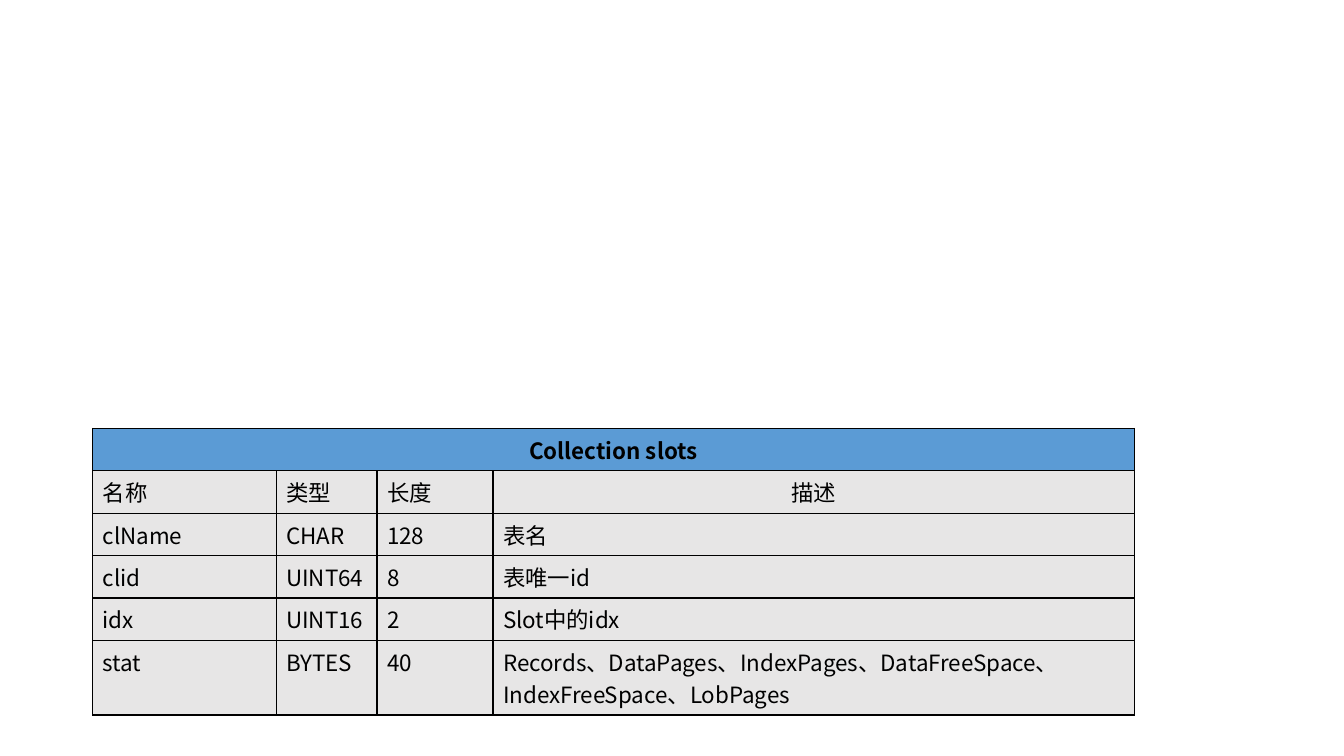
from lxml import etree
from pptx import Presentation
from pptx.dml.color import RGBColor
from pptx.enum.text import PP_ALIGN
from pptx.oxml.ns import qn
from pptx.util import Inches, Pt

LEFT, CENTER = PP_ALIGN.LEFT, PP_ALIGN.CENTER
FONT = "Noto Sans CJK SC"
COLORS = {"head": "5B9BD5", "body": "E7E6E6", "ink": "000000"}
TITLE = "Collection slots"
FIELDS = [
    ("名称", "类型", "长度", "描述"),
    ("clName", "CHAR", "128", "表名"),
    ("clid", "UINT64", "8", "表唯一id"),
    ("idx", "UINT16", "2", "Slot中的idx"),
    ("stat", "BYTES", "40",
     "Records、DataPages、IndexPages、DataFreeSpace、IndexFreeSpace、LobPages"),
]
COLS = [1.82, 1, 1.15, 6.36]
ROWS = [0.42] * 5 + [0.74]


def add_edges(cell):
    props = cell._tc.get_or_add_tcPr()
    for spot, side in enumerate(("lnL", "lnR", "lnT", "lnB")):
        line = etree.Element(qn("a:" + side), w=str(Pt(1)))
        fill = etree.SubElement(line, qn("a:solidFill"))
        etree.SubElement(fill, qn("a:srgbClr"), val=COLORS["ink"])
        props.insert(spot, line)


def style_cell(cell, fill):
    cell.fill.solid()
    cell.fill.fore_color.rgb = RGBColor.from_string(COLORS[fill])
    add_edges(cell)


def put_text(cell, text, align=LEFT, bold=False):
    para = cell.text_frame.paragraphs[0]
    para.alignment = align
    run = para.add_run()
    run.text = text
    look = {"name": FONT, "size": Pt(16), "bold": bold}
    for key, value in look.items():
        setattr(run.font, key, value)
    run.font.color.rgb = RGBColor.from_string(COLORS["ink"])
    etree.SubElement(run.font._element, qn("a:ea"), typeface=FONT)


def add_slots(slide, left, top):
    box = [Inches(size) for size in (left, top, sum(COLS), sum(ROWS))]
    table = slide.shapes.add_table(len(ROWS), len(COLS), *box).table
    table.horz_banding = False
    for col, width in zip(table.columns, COLS):
        col.width = Inches(width)
    for row, height in zip(table.rows, ROWS):
        row.height = Inches(height)
    for cell in table.rows[0].cells:
        style_cell(cell, "head")
    table.cell(0, 0).merge(table.cell(0, len(COLS) - 1))
    put_text(table.cell(0, 0), TITLE, CENTER, True)
    for r, field in enumerate(FIELDS, 1):
        for c, text in enumerate(field):
            cell = table.cell(r, c)
            style_cell(cell, "body")
            put_text(cell, text, CENTER if (r, c) == (1, 3) else LEFT)


def main():
    deck = Presentation()
    deck.slide_width, deck.slide_height = Inches(13.33), Inches(7.5)
    slide = deck.slides.add_slide(deck.slide_layouts[6])
    add_slots(slide, 0.92, 4.25)
    deck.save("out.pptx")


if __name__ == "__main__":
    main()
